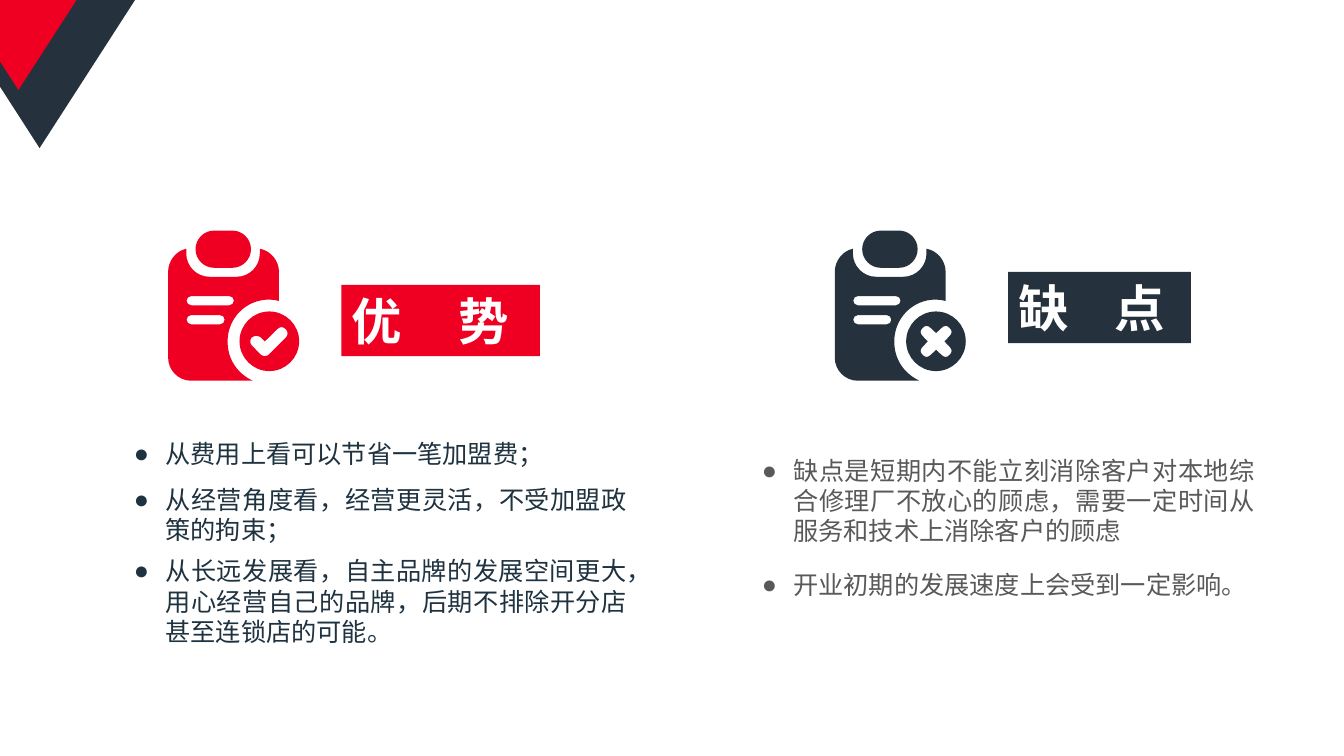
"""Build a slide that sets the advantages beside the drawbacks of an independent repair shop."""
from dataclasses import dataclass
from typing import NamedTuple

import pptx
import pptx.dml.color
import pptx.enum.shapes
import pptx.enum.text
import pptx.oxml
import pptx.oxml.ns
import pptx.util

Pt = pptx.util.Pt


@dataclass(frozen=True)
class Theme:
    """Colours, font and type sizes."""
    red: str = "EF0023"
    navy: str = "25313D"
    white: str = "FFFFFF"
    advantage_text: str = "1F3240"
    drawback_text: str = "595959"
    font: str = "Arial"
    heading_size: float = 36
    body_size: float = 18


class Box(NamedTuple):
    """A frame in points."""
    left: float
    top: float
    width: float
    height: float


class Point(NamedTuple):
    """A bulleted statement and its frame."""
    frame: Box
    text: str


class Outline(NamedTuple):
    """A closed contour: each step is a line of one pair or a curve of three."""
    start: tuple
    steps: tuple


@dataclass(frozen=True)
class Side:
    """One half of the comparison."""
    color: str
    text_color: str
    icon_left: float
    mark: Outline
    heading: str
    heading_frame: Box
    heading_tab: float
    points: tuple[Point, ...]


def rounded(frame: Box, radius: float) -> Outline:
    """Return a rectangle contour with round corners."""
    left, top, width, height = frame
    right, bottom, pull = left + width, top + height, radius * 0.45
    return Outline((left + radius, top), (
        ((right - radius, top),),
        ((right - pull, top), (right, top + pull), (right, top + radius)),
        ((right, bottom - radius),),
        ((right, bottom - pull), (right - pull, bottom), (right - radius, bottom)),
        ((left + radius, bottom),),
        ((left + pull, bottom), (left, bottom - pull), (left, bottom - radius)),
        ((left, top + radius),),
        ((left, top + pull), (left + pull, top), (left + radius, top))))


def cross(center_x: float, center_y: float) -> Outline:
    """Return a round-ended cross by turning one arm four times."""
    arm = (((9.5, -3.7),), ((11.6, -5.7), (11.6, -8), (9.6, -9.6)),
           ((8, -11.6), (5.7, -11.6), (3.7, -9.5)), ((0, -6),))
    steps = []
    for _ in range(4):
        steps += [tuple((center_x + x, center_y + y) for x, y in step) for step in arm]
        arm = tuple(tuple((y, -x) for x, y in step) for step in arm)
    return Outline((center_x + 6, center_y), tuple(steps))


THEME = Theme()
ICON_TOP = 164.7
ICON_WIDTH, ICON_HEIGHT = 93.6, 107.3
CORNER = (
    (THEME.navy, ((0, 0), (96.5, 0), (28.3, 105.8), (0, 61.9))),
    (THEME.red, ((0, 0), (54.7, 0), (13.2, 64.3), (0, 43.9))),
)
BOARD = Outline((65.5, 13), (
    ((65.5, 16.6),), ((65.5, 25.2), (58.3, 33), (49, 33)),
    ((29.5, 33),), ((20.2, 33), (13, 25.2), (13, 16.6)),
    ((13, 13),), ((5.8, 14.4), (0, 21.6), (0, 29.5)),
    ((0, 90.7),), ((0, 99.9), (7.4, 107.3), (16.6, 107.3)),
    ((60.5, 107.3),), ((49.7, 102.2), (42.5, 92.2), (42.5, 79.2)),
    ((42.5, 62.6), (55.7, 49.3), (72, 49.3)), ((74.4, 49.3), (77, 49.6), (79.2, 50.3)),
    ((79.2, 29.5),), ((79.2, 21.6), (73.4, 14.4), (65.5, 13))))
CHECK = Outline((84.2, 76.3), (
    ((72, 88.6),), ((70.6, 90), (67.7, 90), (66.2, 88.6)),
    ((59.8, 82.1),), ((58.3, 80.6), (58.3, 77.8), (59.8, 76.3)),
    ((61.9, 74.9), (64.1, 74.9), (66.2, 76.3)), ((69.1, 79.2),),
    ((77.8, 70.6),), ((79.9, 68.4), (82.1, 68.4), (84.2, 70.6)),
    ((85.7, 72), (85.7, 74.9), (84.2, 76.3))))
CLIPBOARD = (
    BOARD,
    rounded(Box(19.6, 0, 39.6, 26.6), 13.3),
    rounded(Box(13.2, 46.8, 33.8, 6.6), 3.3),
    rounded(Box(13.2, 60.4, 27.2, 6.6), 3.3),
    rounded(Box(51, 57.8, 42.6, 42.6), 21.3),
)
SIDES = (
    Side(THEME.red, THEME.advantage_text, 120.1, CHECK,
         "优\t势", Box(243.8, 203.5, 141.8, 50.9), 76.5,
         (Point(Box(88.6, 309.6, 366.5, 29), "从费用上看可以节省一笔加盟费；"),
          Point(Box(88.6, 342.3, 366.5, 51), "从经营角度看，经营更灵活，不受加盟政策的拘束；"),
          Point(Box(88.6, 393.4, 366.5, 72.7),
                "从长远发展看，自主品牌的发展空间更大，用心经营自己的品牌，后期不排除开分店甚至连锁店的可能。"))),
    Side(THEME.navy, THEME.drawback_text, 596.3, cross(72.4, 79.2),
         "缺\t点", Box(720.2, 194.2, 130.5, 50.9), 68.5,
         (Point(Box(537.1, 321.6, 366.5, 72.7),
                "缺点是短期内不能立刻消除客户对本地综合修理厂不放心的顾虑，需要一定时间从服务和技术上消除客户的顾虑"),
          Point(Box(537.1, 403.2, 366.5, 29), "开业初期的发展速度上会受到一定影响。"))),
)


def rgb(value: str) -> pptx.dml.color.RGBColor:
    """Return a colour from its hex code."""
    return pptx.dml.color.RGBColor.from_string(value)


def paint(shape, color: str) -> None:
    """Give a shape a plain fill without line or shadow."""
    shape.shadow.inherit = False
    shape.fill.solid()
    shape.fill.fore_color.rgb = rgb(color)
    shape.line.fill.background()


def add_polygon(slide, color: str, corners: tuple):
    """Add a filled straight-sided outline."""
    start, *others = [(Pt(x), Pt(y)) for x, y in corners]
    builder = slide.shapes.build_freeform(*start)
    builder.add_line_segments(others, close=True)
    polygon = builder.convert_to_shape()
    paint(polygon, color)
    return polygon


def add_property(parent, tag: str, **attributes: str):
    """Append a drawing element to a parent."""
    element = pptx.oxml.parse_xml(f"<a:{tag} {pptx.oxml.ns.nsdecls('a')}/>")
    for name, value in attributes.items():
        element.set(name, value)
    parent.append(element)
    return element


def add_icon(slide, side: Side) -> None:
    """Draw the clipboard with its marked badge as one curved outline."""
    right, bottom = side.icon_left + ICON_WIDTH, ICON_TOP + ICON_HEIGHT
    icon = add_polygon(slide, side.color, ((side.icon_left, ICON_TOP), (right, ICON_TOP),
                                           (right, bottom), (side.icon_left, bottom)))
    contour = icon._element.find(".//" + pptx.oxml.ns.qn("a:path"))
    for segment in list(contour):
        contour.remove(segment)
    for outline in (*CLIPBOARD, side.mark):
        moves = [("moveTo", (outline.start,))]
        moves += [("lnTo" if len(step) == 1 else "cubicBezTo", step) for step in outline.steps]
        for tag, places in moves:
            segment = add_property(contour, tag)
            for x, y in places:
                add_property(segment, "pt", x=str(Pt(x)), y=str(Pt(y)))
        add_property(contour, "close")


def add_run(paragraph, text: str, size: float, color: str, bold: bool = False) -> None:
    """Add one formatted run."""
    run = paragraph.add_run()
    run.text = text
    run.font.name = THEME.font
    run.font.size = Pt(size)
    run.font.bold = bold
    run.font.color.rgb = rgb(color)


def add_heading(slide, side: Side) -> None:
    """Add the coloured heading with its two spread characters."""
    rectangle = pptx.enum.shapes.MSO_SHAPE.RECTANGLE
    banner = slide.shapes.add_shape(rectangle, *map(Pt, side.heading_frame))
    paint(banner, side.color)
    banner.text_frame.word_wrap = True
    paragraph = banner.text_frame.paragraphs[0]
    paragraph.alignment = pptx.enum.text.PP_ALIGN.LEFT
    tabs = add_property(paragraph._p.get_or_add_pPr(), "tabLst")
    add_property(tabs, "tab", pos=str(Pt(side.heading_tab)), algn="l")
    add_run(paragraph, side.heading, THEME.heading_size, THEME.white, bold=True)


def add_point(slide, point: Point, color: str) -> None:
    """Add one bulleted statement."""
    statement = slide.shapes.add_textbox(*map(Pt, point.frame)).text_frame
    statement.word_wrap = True
    paragraph = statement.paragraphs[0]
    paragraph.alignment = pptx.enum.text.PP_ALIGN.JUSTIFY
    properties = paragraph._p.get_or_add_pPr()
    properties.set("marL", str(Pt(22.5)))
    properties.set("indent", str(-Pt(22.5)))
    add_property(properties, "buFont", typeface=THEME.font)
    add_property(properties, "buChar", char="●")
    add_run(paragraph, point.text, THEME.body_size, color)


def main() -> None:
    """Build and save the slide."""
    deck = pptx.Presentation()
    deck.slide_width, deck.slide_height = Pt(960), Pt(540)
    slide = deck.slides.add_slide(deck.slide_layouts[6])
    for color, corners in CORNER:
        add_polygon(slide, color, corners)
    for side in SIDES:
        add_icon(slide, side)
        add_heading(slide, side)
        for point in side.points:
            add_point(slide, point, side.text_color)
    deck.save("out.pptx")


if __name__ == "__main__":
    main()
